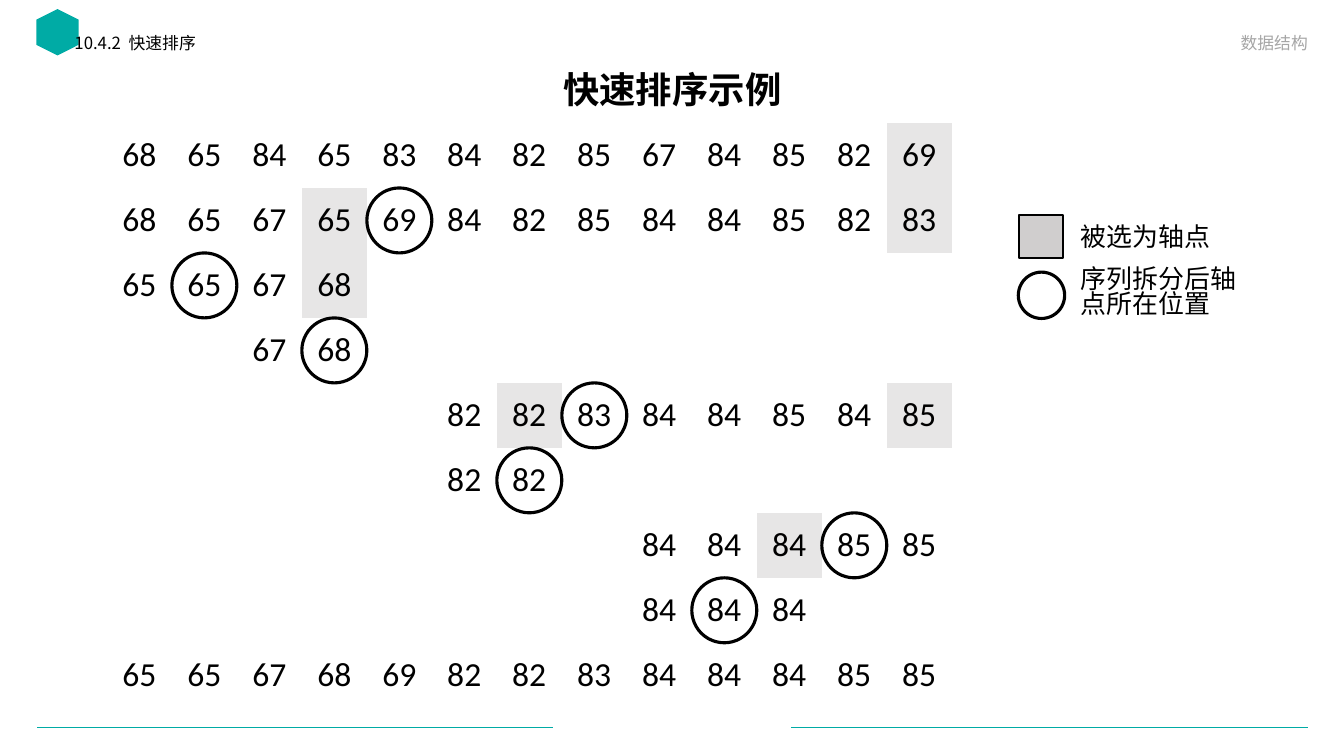
from dataclasses import dataclass

from lxml.etree import SubElement
from pptx import Presentation
from pptx.dml.color import RGBColor
from pptx.enum.shapes import MSO_CONNECTOR, MSO_SHAPE as Shape
from pptx.enum.text import MSO_ANCHOR as Anchor, MSO_AUTO_SIZE, PP_ALIGN as Align
from pptx.oxml.ns import qn
from pptx.util import Inches, Pt

CJK = "Noto Sans CJK SC"
TEAL, BLACK, GREY = "00ABA5", "000000", "A6A6A6"
PIVOT_FILL, LEGEND_FILL = "E7E6E6", "D0CECE"
LEFT, TOP, COLUMNS = 1.06, 1.22, 13
CELL = 8.38 / COLUMNS
NO_STYLE = "{2D5ABB26-0587-4C30-8999-92F81FD0307C}"


@dataclass
class Step:
    """One row of the sort: its first column, values, and marked columns."""
    start: int
    values: str
    pivots: tuple[int, ...] = ()
    placed: int | None = None


STEPS = [
    Step(0, "68 65 84 65 83 84 82 85 67 84 85 82 69", (12,)),
    Step(0, "68 65 67 65 69 84 82 85 84 84 85 82 83", (3, 12), 4),
    Step(0, "65 65 67 68", (3,), 1),
    Step(2, "67 68", placed=3),
    Step(5, "82 82 83 84 84 85 84 85", (6, 12), 7),
    Step(5, "82 82", placed=6),
    Step(8, "84 84 84 85 85", (10,), 11),
    Step(8, "84 84 84", placed=9),
    Step(0, "65 65 67 68 69 82 82 83 84 84 84 85 85"),
]


def rgb(colour: str) -> RGBColor:
    return RGBColor.from_string(colour)


def write(tf, *lines: str, size: float, font: str = CJK, colour: str = BLACK,
          bold: bool = False, align=Align.LEFT, spacing: float = 1, gap: float = 0) -> None:
    """Fill a text frame with one paragraph per line."""
    for i, line in enumerate(lines):
        p = tf.add_paragraph() if i else tf.paragraphs[0]
        p.alignment, p.line_spacing = align, spacing
        p.space_before = Pt(gap if i else 0)
        r = p.add_run()
        r.text = line
        r.font.name, r.font.size, r.font.bold = font, Pt(size), bold
        r.font.color.rgb = rgb(colour)
        SubElement(r.font._element, qn("a:ea"), typeface=font)


def place(sp, x: float, y: float, w: float, h: float) -> None:
    sp.left, sp.top, sp.width, sp.height = map(Inches, (x, y, w, h))


def add_text(s, x: float, y: float, w: float, h: float, *lines: str,
             anchor=Anchor.TOP, **style) -> None:
    tf = s.shapes.add_textbox(*map(Inches, (x, y, w, h))).text_frame
    tf.word_wrap, tf.vertical_anchor = True, anchor
    write(tf, *lines, **style)


def add_shape(s, kind, x: float, y: float, w: float, h: float,
              fill: str | None = None, line: float = 0):
    sp = s.shapes.add_shape(kind, *map(Inches, (x, y, w, h)))
    sp.shadow.inherit = False
    if fill:
        sp.fill.solid()
        sp.fill.fore_color.rgb = rgb(fill)
    else:
        sp.fill.background()
    if line:
        sp.line.color.rgb, sp.line.width = rgb(BLACK), Pt(line)
    else:
        sp.line.fill.background()
    return sp


def add_rule(s, x1: float, x2: float, y: float) -> None:
    line = s.shapes.add_connector(MSO_CONNECTOR.STRAIGHT, *map(Inches, (x1, y, x2, y)))
    line.line.color.rgb, line.line.width = rgb(TEAL), Pt(0.5)
    SubElement(line._element.spPr, qn("a:effectLst"))


def add_sort_table(s) -> None:
    frame = s.shapes.add_table(len(STEPS), COLUMNS, Inches(LEFT), Inches(TOP),
                               Inches(CELL * COLUMNS), Inches(CELL * len(STEPS)))
    table = frame.table
    table.first_row = table.horz_banding = False
    table._tbl.tblPr.find(qn("a:tableStyleId")).text = NO_STYLE
    for cell in table.iter_cells():
        cell.fill.background()
    for row, step in enumerate(STEPS):
        for col, value in enumerate(step.values.split(), step.start):
            cell = table.cell(row, col)
            cell.vertical_anchor = Anchor.MIDDLE
            write(cell.text_frame, value, size=24, font="Calibri", align=Align.CENTER)
            if col in step.pivots:
                cell.fill.solid()
                cell.fill.fore_color.rgb = rgb(PIVOT_FILL)
    for row, step in enumerate(STEPS):
        if step.placed is not None:
            add_shape(s, Shape.OVAL, LEFT + step.placed * CELL, TOP + row * CELL,
                      CELL, CELL, line=2.25)


def add_legend(s) -> None:
    add_text(s, 10.62, 2.2, 1.96, 1.1, "被选为轴点", "序列拆分后轴点所在位置",
             size=18.5, spacing=0.8, gap=12)
    add_shape(s, Shape.RECTANGLE, 10.11, 2.13, 0.43, 0.43, fill=LEGEND_FILL, line=1.5)
    add_shape(s, Shape.OVAL, 10.1, 2.7, 0.46, 0.46, line=2.25)


def main() -> None:
    prs = Presentation()
    prs.slide_width, prs.slide_height = Inches(13.33), Inches(7.5)
    s = prs.slides.add_slide(prs.slide_layouts[5])

    add_rule(s, 0.37, 5.48, 7.22)
    add_rule(s, 7.85, 12.97, 7.22)
    badge = add_shape(s, Shape.HEXAGON, 0.34, 0.11, 0.46, 0.42, fill=TEAL)
    badge.rotation = 90

    title = s.shapes.title
    place(title, 0.92, 0.62, 11.5, 0.57)
    tf = title.text_frame
    tf.auto_size, tf.vertical_anchor = MSO_AUTO_SIZE.NONE, Anchor.MIDDLE
    write(tf, "快速排序示例", size=26, bold=True, align=Align.CENTER, spacing=0.9)
    add_text(s, 0.64, 0.3, 5.32, 0.36, "10.4.2  快速排序", size=12, spacing=0.9)
    add_text(s, 7.43, 0.22, 5.64, 0.35, "数据结构", size=12, colour=GREY,
             align=Align.RIGHT, anchor=Anchor.BOTTOM)

    add_sort_table(s)
    add_legend(s)
    prs.save("out.pptx")


if __name__ == "__main__":
    main()
